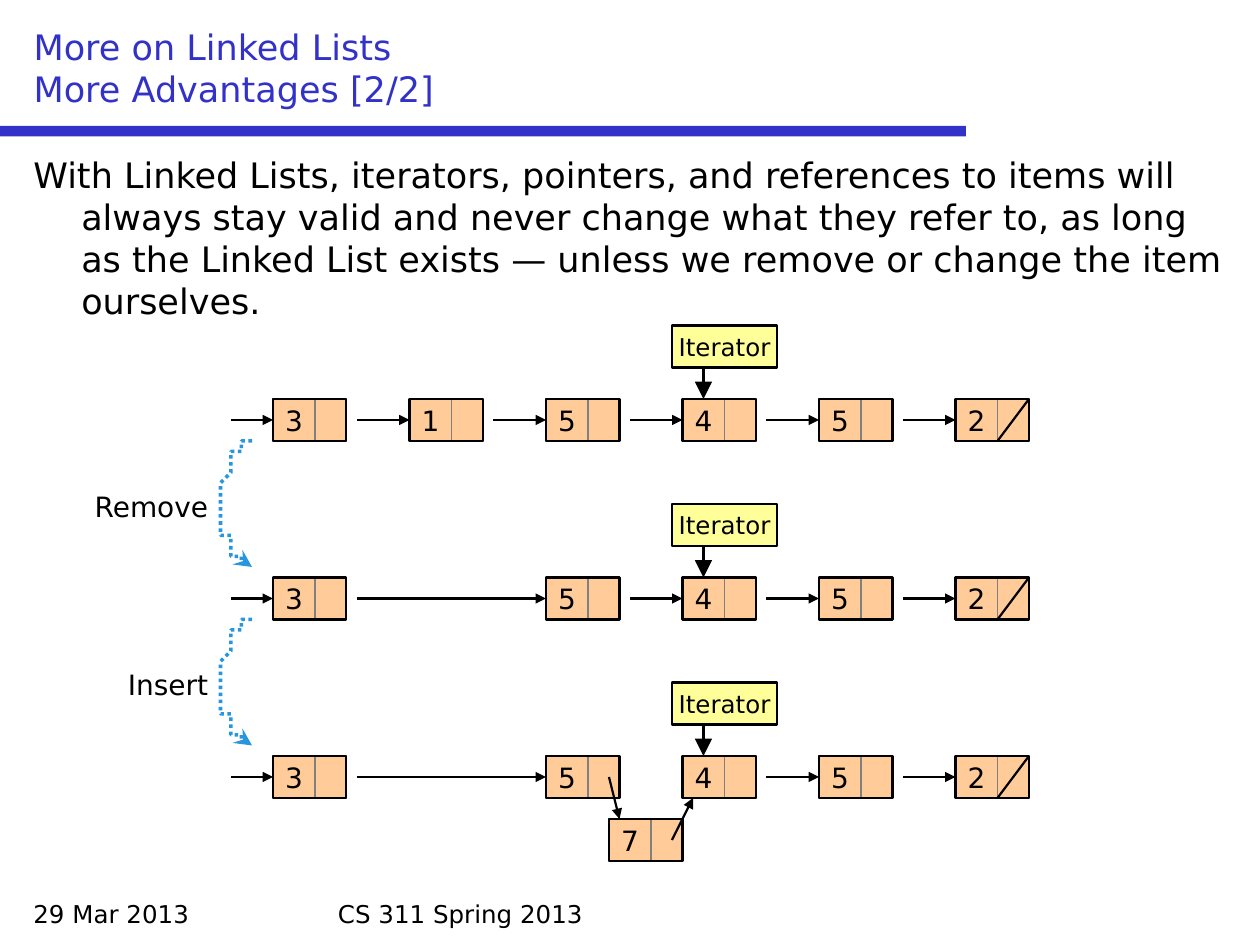
from math import cos, radians, sin

from lxml import etree
from pptx import Presentation
from pptx.dml.color import RGBColor
from pptx.enum.dml import MSO_LINE
from pptx.enum.shapes import MSO_CONNECTOR, MSO_SHAPE
from pptx.enum.text import MSO_ANCHOR, MSO_AUTO_SIZE, PP_ALIGN
from pptx.oxml.ns import qn
from pptx.util import Inches, Pt

RECTANGLE = MSO_SHAPE.RECTANGLE
STRAIGHT = MSO_CONNECTOR.STRAIGHT
DOTTED = MSO_LINE.ROUND_DOT
LEFT, CENTER, RIGHT = PP_ALIGN.LEFT, PP_ALIGN.CENTER, PP_ALIGN.RIGHT
TOP, MIDDLE, BOTTOM = MSO_ANCHOR.TOP, MSO_ANCHOR.MIDDLE, MSO_ANCHOR.BOTTOM

UNIT = Inches(1) / 12
BLUE, BLACK, GRAY = "3232C8", "000000", "808080"
ORANGE, YELLOW, SKY = "FFCC99", "FFFF99", "2896DC"


def write(box, text, size=16, color=BLACK, align=LEFT, anchor=TOP, wrap=True, hanging=0):
    frame = box.text_frame
    frame.text = text
    frame.word_wrap = wrap
    frame.auto_size = MSO_AUTO_SIZE.NONE
    frame.vertical_anchor = anchor
    para = frame.paragraphs[0]
    para.alignment = align
    if hanging:
        properties = para._p.get_or_add_pPr()
        properties.set("marL", str(Inches(hanging)))
        properties.set("indent", str(-Inches(hanging)))
    for span in para.runs:
        span.font.name = "DejaVu Sans"
        span.font.size = Pt(size)
        span.font.color.rgb = RGBColor.from_string(color)


def stroke(shape, color=BLACK, width=1.25, head=None, head_size="med"):
    shape.line.color.rgb = RGBColor.from_string(color)
    shape.line.width = Pt(width)
    if head:
        etree.SubElement(shape.line._get_or_add_ln(), qn("a:tailEnd"),
                         type=head, w=head_size, len=head_size)


deck = Presentation()
deck.slide_width, deck.slide_height = Inches(10), Inches(7.5)
page = deck.slides.add_slide(deck.slide_layouts[5])

title = page.shapes.title
title.left, title.top, title.width, title.height = [int(n * UNIT) for n in (2, 2, 116, 9)]
write(title, "More on Linked Lists\vMore Advantages [2/2]", size=20, color=BLUE, anchor=BOTTOM)

texts = [
    ((2, 85, 28, 4), "29 Mar 2013", {"size": 14}),
    ((31, 85, 58, 4), "CS 311 Spring 2013", {"size": 14}),
    ((2, 14, 116, 70),
     "With Linked Lists, iterators, pointers, and references to items will always stay valid "
     "and never change what they refer to, as long as the Linked List exists \u2014 unless we "
     "remove or change the item ourselves.", {"size": 20, "hanging": 0.38}),
]

first_column, column_step = 26, 13
chains = [
    (38, {0: "3", 1: "1", 2: "5", 3: "4", 4: "5", 5: "2"}, "Remove"),
    (55, {0: "3", 2: "5", 3: "4", 4: "5", 5: "2"}, "Insert"),
    (72, {0: "3", 2: "5", 3: "4", 4: "5", 5: "2"}, None),
]
nodes = [(58, 78, "7")]
boxes = [((0, 12, 92, 1), BLUE, None, 0, "", 16)]
links = [(58, 74, 59, 78, "triangle", "med"), (64, 80, 66, 76, "triangle", "med")]
arcs = []

for row, values, action in chains:
    lefts = [first_column + column_step * column for column in values]
    nodes += [(left, row, value) for left, value in zip(lefts, values.values())]
    links.append((22, row + 2, lefts[0], row + 2, "triangle", "med"))
    for left, following in zip(lefts, lefts[1:]):
        if (left, row) != (52, 72):
            links.append((left + 8, row + 2, following, row + 2, "triangle", "med"))
    links.append((lefts[-1] + 4, row + 4, lefts[-1] + 7, row, None, "med"))
    boxes.append(((64, row - 7, 10, 4), YELLOW, BLACK, 1.25, "Iterator", 14))
    links.append((67, row - 3, 67, row, "triangle", "lg"))
    if action:
        texts.append(((7, row + 8, 14, 4.4), action, {"align": RIGHT}))
        arcs.append(row + 10.15)

for left, top, value in nodes:
    boxes += [
        ((left, top, 4, 4), ORANGE, GRAY, 0.75, value, 16),
        ((left + 4, top, 3, 4), ORANGE, GRAY, 0.75, "", 16),
        ((left, top, 7, 4), None, BLACK, 1.25, "", 16),
    ]

for place, fill, edge, width, text, size in boxes:
    box = page.shapes.add_shape(RECTANGLE, *[int(n * UNIT) for n in place])
    box.shadow.inherit = False
    if fill:
        box.fill.solid()
        box.fill.fore_color.rgb = RGBColor.from_string(fill)
    else:
        box.fill.background()
    if edge:
        stroke(box, edge, width)
    else:
        box.line.fill.background()
    if text:
        write(box, text, size=size, align=CENTER, anchor=MIDDLE, wrap=False)

for *ends, head, head_size in links:
    link = page.shapes.add_connector(STRAIGHT, *[int(n * UNIT) for n in ends])
    stroke(link, head=head, head_size=head_size)
    etree.SubElement(link._element.spPr, qn("a:effectLst"))

for middle in arcs:
    points = [(25.1 + 4.1 * cos(radians(angle)), middle + 6.5 * sin(radians(angle)))
              for angle in range(252, 107, -6)]
    builder = page.shapes.build_freeform(*points[0], scale=UNIT)
    builder.add_line_segments(points[1:], close=False)
    arc = builder.convert_to_shape()
    arc.shadow.inherit = False
    arc.fill.background()
    arc.line.dash_style = DOTTED
    stroke(arc, SKY, 2, "stealth", "lg")

for place, text, style in texts:
    box = page.shapes.add_textbox(*[int(n * UNIT) for n in place])
    write(box, text, **style)

deck.save("out.pptx")
